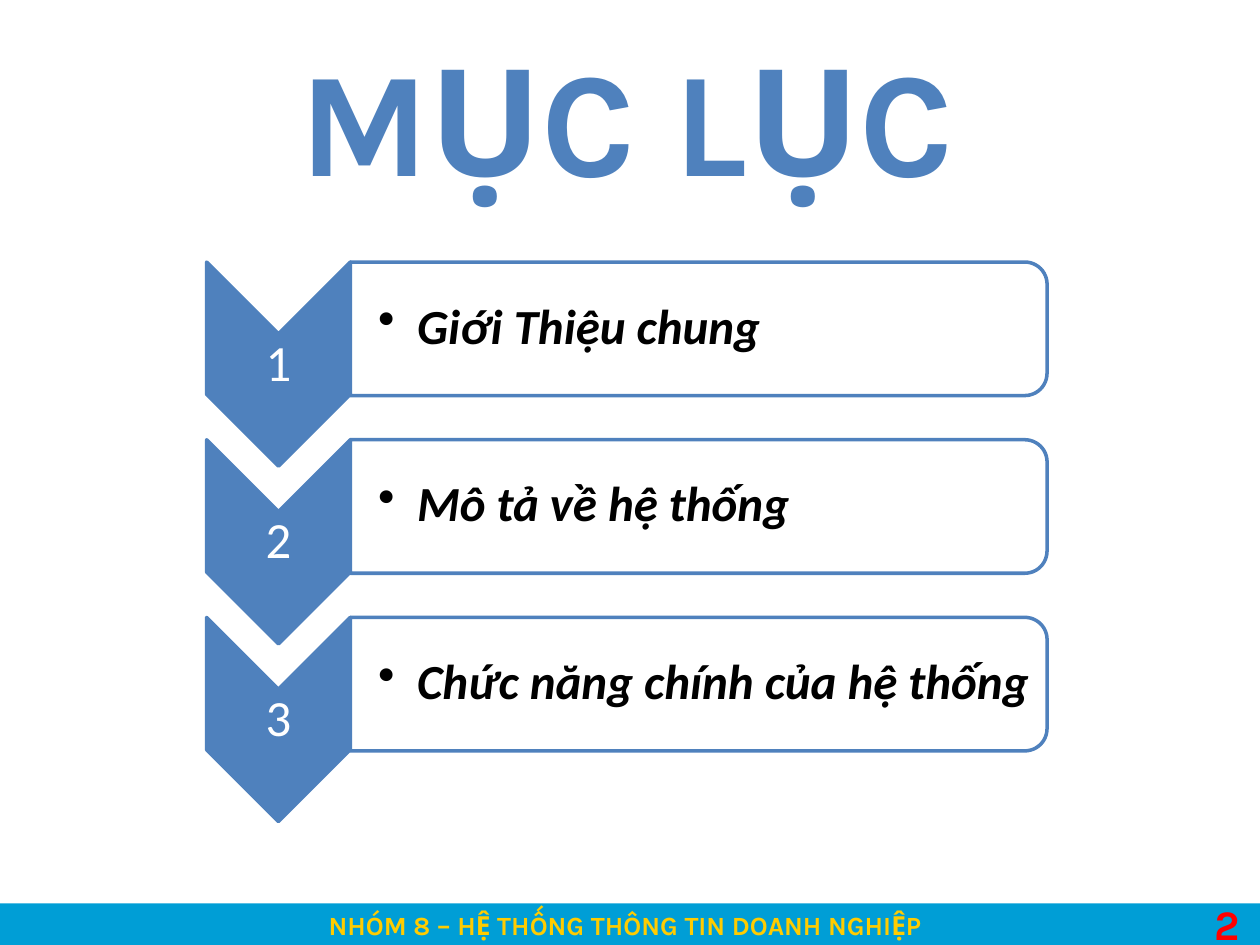
"""Build a table-of-contents slide with three numbered chevron rows."""
from dataclasses import dataclass

from lxml import etree
from pptx import Presentation
from pptx import util as u
from pptx.dml.color import RGBColor
from pptx.enum import shapes, text
from pptx.oxml.ns import qn

COLORS = {"blue": "4F81BD", "bar": "009ED6", "gold": "FFCC00", "red": "FF0000",
          "white": "FFFFFF", "black": "000000"}
FIRST_ROW, ROW_PITCH = 2.08, 1.41
NUMBER_COL, NUMBER_W = 1.64, 1.14
TOPIC_COL, TOPIC_W, TOPIC_H = 2.78, 5.53, 1.06
CHEVRON_H = 1.62


@dataclass(frozen=True)
class Box:
    """Rectangle in inches as it shows on the slide."""
    left: float
    top: float
    width: float
    height: float

    def emu(self) -> list[int]:
        """Return the four lengths in slide units."""
        return [u.Inches(n) for n in (self.left, self.top, self.width, self.height)]

    def turned(self) -> "Box":
        """Return the unrotated box that fills this one after a quarter turn."""
        return Box(self.left + (self.width - self.height) / 2,
                   self.top + (self.height - self.width) / 2, self.height, self.width)


@dataclass(frozen=True)
class Style:
    """Look of a run of text."""
    size: float
    color: str
    font: str = "Calibri"
    bold: bool = False
    italic: bool = False


@dataclass(frozen=True)
class Topic:
    """One numbered line of the contents."""
    number: int
    title: str


TOPICS = [Topic(1, "Giới Thiệu chung"), Topic(2, "Mô tả về hệ thống"),
          Topic(3, "Chức năng chính của hệ thống")]


def rgb(name: str) -> RGBColor:
    """Look up a colour by name."""
    return RGBColor.from_string(COLORS[name])


def add_block(slide, kind, box: Box, fill: str, line: str = "", rotation: float = 0):
    """Add a filled preset shape with an optional outline."""
    sp = slide.shapes.add_shape(kind, *box.emu())
    sp.rotation = rotation
    sp.shadow.inherit = False
    sp.fill.solid()
    sp.fill.fore_color.rgb = rgb(fill)
    if line:
        sp.line.color.rgb = rgb(line)
        sp.line.width = u.Pt(2)
    else:
        sp.line.fill.background()
    return sp


def write(sp, content: str, style: Style, align=text.PP_ALIGN.LEFT, wrap: bool = True):
    """Set and format one paragraph of text, and return it."""
    tf = sp.text_frame
    tf.text = content
    tf.word_wrap = wrap
    p = tf.paragraphs[0]
    p.alignment = align
    font = p.runs[0].font
    font.name, font.size = style.font, u.Pt(style.size)
    font.bold, font.italic = style.bold, style.italic
    font.color.rgb = rgb(style.color)
    return p


def add_label(slide, box: Box, content: str, style: Style, align, inset: float):
    """Add a vertically centred text box with tight margins."""
    sp = slide.shapes.add_textbox(*box.emu())
    p = write(sp, content, style, align)
    p.line_spacing = 0.9
    tf = sp.text_frame
    tf.vertical_anchor = text.MSO_ANCHOR.MIDDLE
    tf.margin_left = u.Inches(inset)
    tf.margin_top = tf.margin_right = tf.margin_bottom = u.Inches(0.02)
    return p


def add_bullet(p, indent: float) -> None:
    """Give a paragraph a hanging round bullet."""
    props = p._p.get_or_add_pPr()
    props.set("marL", str(u.Inches(indent)))
    props.set("indent", str(-u.Inches(indent)))
    etree.SubElement(props, qn("a:buChar")).set("char", "•")


def add_topic(slide, row: int, topic: Topic) -> None:
    """Draw one chevron with its number and its titled panel."""
    top = FIRST_ROW + row * ROW_PITCH
    chevron = Box(NUMBER_COL, top, NUMBER_W, CHEVRON_H)
    panel = Box(TOPIC_COL, top, TOPIC_W, TOPIC_H)
    add_block(slide, shapes.MSO_SHAPE.CHEVRON, chevron.turned(), "blue", "blue", 90)
    add_label(slide, Box(NUMBER_COL, top + NUMBER_W / 2, NUMBER_W, 0.49), str(topic.number),
              Style(29, "white"), text.PP_ALIGN.CENTER, 0.02)
    add_block(slide, shapes.MSO_SHAPE.ROUND_2_SAME_RECTANGLE, panel.turned(),
              "white", "blue", 90)
    p = add_label(slide, Box(TOPIC_COL, top + 0.05, 5.48, 0.95), topic.title,
                  Style(28, "black", bold=True, italic=True), text.PP_ALIGN.LEFT, 0.22)
    add_bullet(p, 0.31)


def main() -> None:
    """Build and save the slide."""
    prs = Presentation()
    prs.slide_width, prs.slide_height = u.Inches(10), u.Inches(7.5)
    slide = prs.slides.add_slide(prs.slide_layouts[6])

    footer = add_block(slide, shapes.MSO_SHAPE.RECTANGLE, Box(-0.08, 7.17, 10.08, 0.35), "bar")
    write(footer, "NHÓM 8 – HỆ THỐNG THÔNG TIN DOANH NGHIỆP",
          Style(15, "gold", "Karla", True), text.PP_ALIGN.CENTER)
    footer.text_frame.vertical_anchor = text.MSO_ANCHOR.TOP

    title = slide.shapes.add_textbox(*Box(2.15, 0.17, 5.65, 1.53).emu())
    write(title, "MỤC LỤC", Style(85, "blue", "Karla", True), text.PP_ALIGN.CENTER, False)
    page = slide.shapes.add_textbox(*Box(9.54, 7.08, 0.58, 0.5).emu())
    write(page, "2", Style(24, "red", "Karla", True))

    for row, topic in enumerate(TOPICS):
        add_topic(slide, row, topic)
    prs.save("out.pptx")


main()
